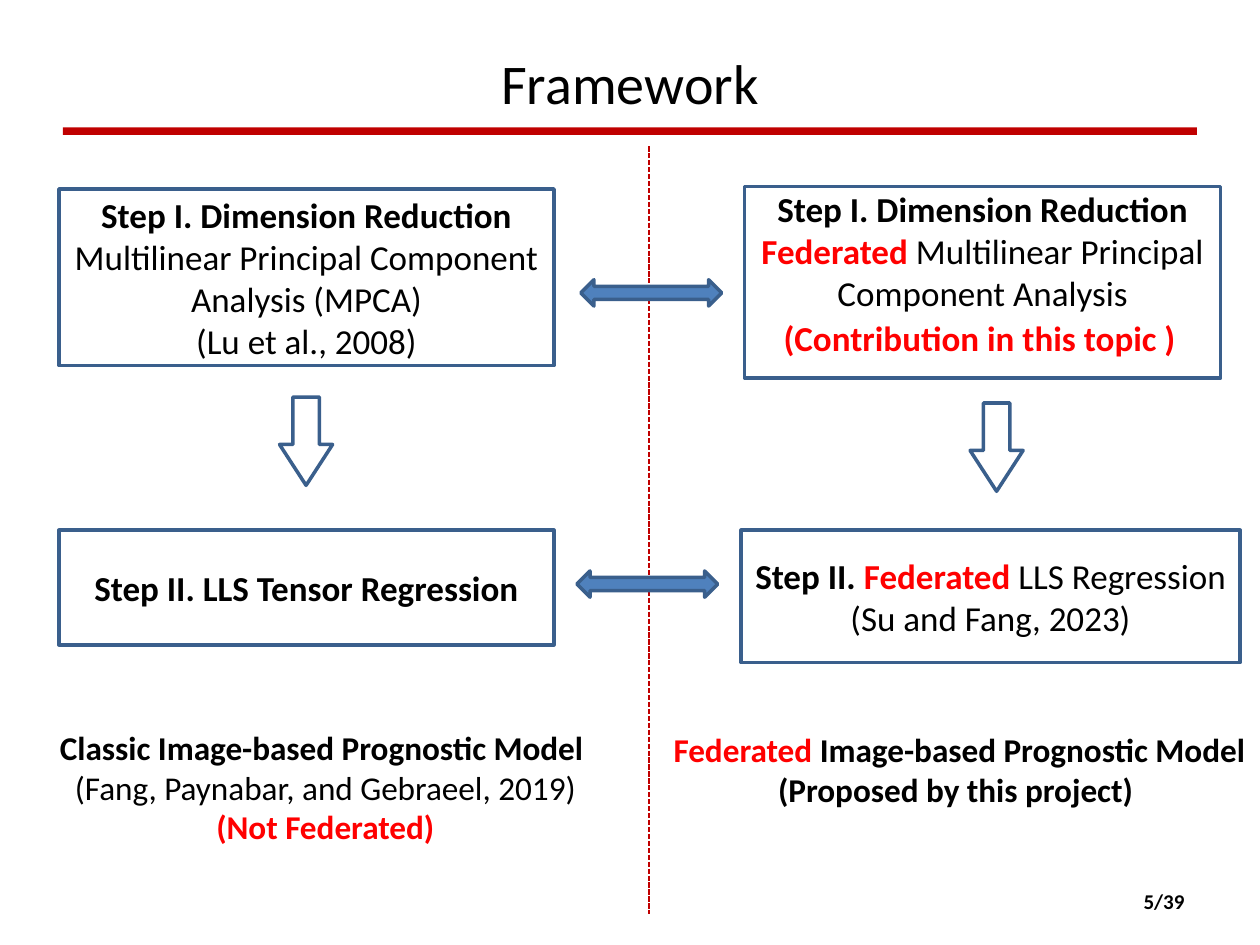
from lxml import etree
from pptx import Presentation
from pptx.dml.color import RGBColor
from pptx.enum import dml, shapes, text
from pptx.oxml.ns import qn
from pptx.util import Cm, Pt

COLORS = {
    "black": "000000",
    "red": "FF0000",
    "rule": "C00000",
    "outline": "3A5F8C",
    "arrow": "4F81BD",
}
FONT = "Calibri"
CENTER = text.PP_ALIGN.CENTER
RIGHT = text.PP_ALIGN.RIGHT
TOP = text.MSO_ANCHOR.TOP
MIDDLE = text.MSO_ANCHOR.MIDDLE


def color(name):
    return RGBColor.from_string(COLORS[name])


def plain(words):
    return words, "black", False


def bold(words):
    return words, "black", True


def red(words):
    return words, "red", True


class SlideBuilder:
    def __init__(self, slide, line_width=2):
        self.slide = slide
        self.line_width = Pt(line_width)

    def add_lines(self, shape, lines, size, align=CENTER, anchor=MIDDLE):
        frame = shape.text_frame
        frame.word_wrap = True
        frame.vertical_anchor = anchor
        for index, line in enumerate(lines):
            paragraph = frame.add_paragraph() if index else frame.paragraphs[0]
            paragraph.alignment = align
            for words, tint, is_bold in line:
                run = paragraph.add_run()
                run.text = words
                run.font.name = FONT
                run.font.size = Pt(size)
                run.font.bold = is_bold
                run.font.color.rgb = color(tint)

    def label(self, left, top, width, height, lines, size, align=CENTER, anchor=TOP):
        box = self.slide.shapes.add_textbox(Cm(left), Cm(top), Cm(width), Cm(height))
        self.add_lines(box, lines, size, align, anchor)
        return box

    def shape(self, kind, left, top, width, height, fill=None, outline="outline"):
        shape = self.slide.shapes.add_shape(
            kind, Cm(left), Cm(top), Cm(width), Cm(height))
        shape.shadow.inherit = False
        if fill:
            shape.fill.solid()
            shape.fill.fore_color.rgb = color(fill)
        else:
            shape.fill.background()
        if outline:
            shape.line.color.rgb = color(outline)
            shape.line.width = self.line_width
        else:
            shape.line.fill.background()
        return shape

    def box(self, left, top, width, height, lines=()):
        shape = self.shape(shapes.MSO_SHAPE.RECTANGLE, left, top, width, height)
        self.add_lines(shape, lines, 20)
        return shape

    def down_arrow(self, left, top):
        arrow = self.shape(shapes.MSO_SHAPE.RIGHT_ARROW, left, top, 1.78, 1.07)
        arrow.adjustments[0] = 0.5
        arrow.adjustments[1] = 0.77
        arrow.rotation = 90
        return arrow

    def double_arrow(self, left, top):
        return self.shape(
            shapes.MSO_SHAPE.LEFT_RIGHT_ARROW, left, top, 2.84, 0.53, "arrow")

    def divider(self, x, top, bottom):
        line = self.slide.shapes.add_connector(
            shapes.MSO_CONNECTOR.STRAIGHT, Cm(x), Cm(top), Cm(x), Cm(bottom))
        line.line.color.rgb = color("rule")
        line.line.width = Pt(1)
        line.line.dash_style = dml.MSO_LINE.SQUARE_DOT
        etree.SubElement(line._element.spPr, qn("a:effectLst"))
        return line


def main():
    presentation = Presentation()
    presentation.slide_width = Cm(25.4)
    presentation.slide_height = Cm(19.05)
    slide = presentation.slides.add_slide(presentation.slide_layouts[6])
    builder = SlideBuilder(slide)

    builder.shape(shapes.MSO_SHAPE.RECTANGLE, 1.27, 2.57, 22.86, 0.15, "rule", None)
    builder.label(1.27, 0.76, 22.86, 1.78, [[plain("Framework")]], 32, anchor=MIDDLE)

    builder.box(1.19, 3.81, 9.98, 3.56, [
        [bold("Step I. Dimension Reduction")],
        [plain("Multilinear Principal Component Analysis (MPCA)")],
        [plain("(Lu et al., 2008)")],
    ])
    builder.down_arrow(5.28, 8.36)
    builder.box(1.19, 10.69, 9.98, 2.31, [[bold("Step II. LLS Tensor Regression")]])
    builder.box(14.94, 10.69, 10.06, 2.67, [
        [bold("Step II. "), red("Federated"), plain(" LLS Regression")],
        [plain("(Su and Fang, 2023)")],
    ])
    builder.box(15.01, 3.76, 9.6, 3.86)
    builder.divider(13.08, 2.95, 18.42)

    builder.label(-0.08, 14.53, 13.28, 2.69, [
        [bold("Classic Image-based Prognostic Model ")],
        [plain("(Fang, Paynabar, and Gebraeel, 2019)")],
        [red("(Not Federated)")],
    ], 19)
    builder.label(12.7, 14.58, 13.28, 1.88, [
        [red("Federated"), bold(" Image-based Prognostic Model")],
        [bold("(Proposed by this project) ")],
    ], 19)

    builder.double_arrow(11.71, 5.64)
    builder.double_arrow(11.63, 11.51)

    builder.label(15.01, 3.66, 9.6, 2.82, [
        [bold("Step I. Dimension Reduction")],
        [red("Federated"), plain(" Multilinear Principal Component Analysis")],
    ], 20)
    builder.label(15.37, 6.25, 8.76, 1.12, [[red("(Contribution in this topic )")]], 20)
    builder.down_arrow(19.2, 8.48)
    builder.label(18.21, 17.65, 5.92, 1.02, [[bold("5/39")]], 12, RIGHT, MIDDLE)

    presentation.save("out.pptx")


if __name__ == "__main__":
    main()
